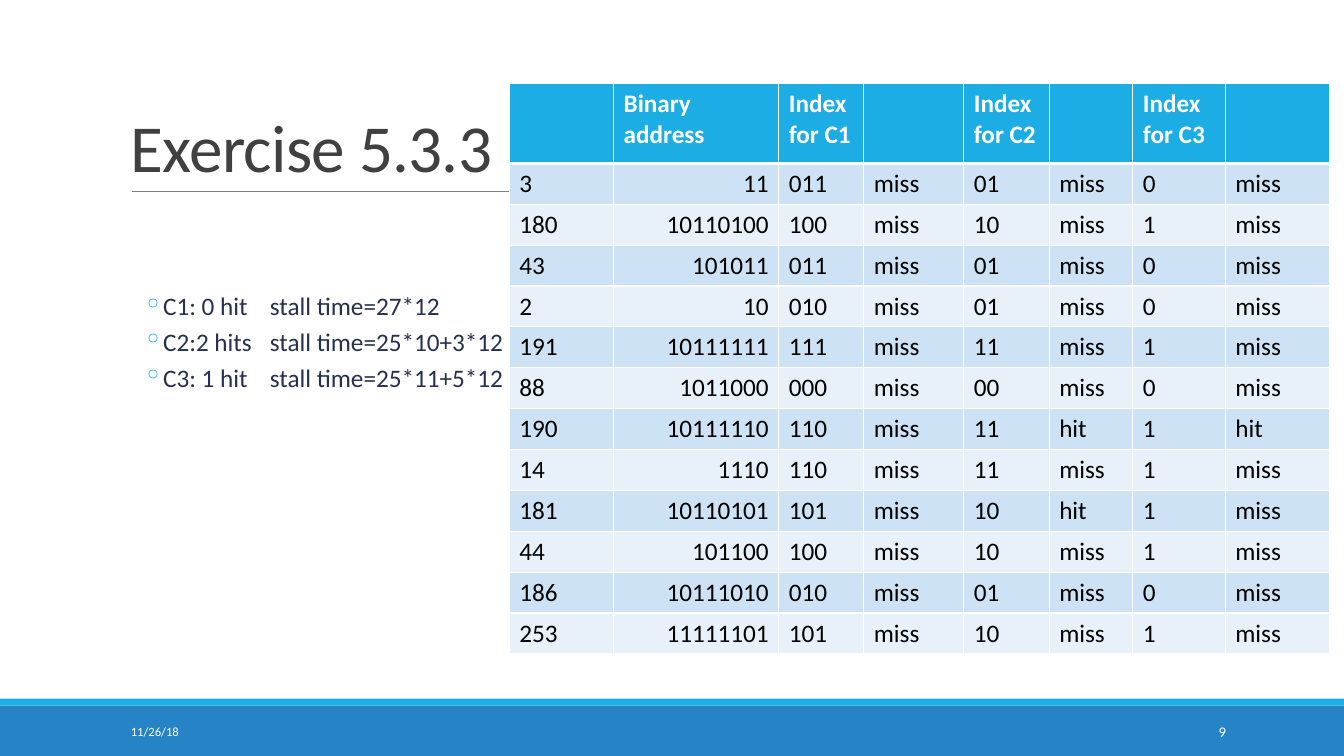
from lxml.etree import SubElement
from pptx import Presentation
from pptx.dml.color import RGBColor
from pptx.enum.shapes import MSO_CONNECTOR, MSO_SHAPE
from pptx.enum.text import MSO_ANCHOR, PP_ALIGN
from pptx.oxml.ns import qn
from pptx.util import Pt

WHITE = RGBColor(0xFF, 0xFF, 0xFF)
BLACK = RGBColor(0x00, 0x00, 0x00)
CHARCOAL = RGBColor(0x40, 0x40, 0x40)
GRAY = RGBColor(0x80, 0x80, 0x80)
NAVY = RGBColor(0x27, 0x30, 0x4E)
BLUE = RGBColor(0x26, 0x83, 0xC6)
CYAN = RGBColor(0x1C, 0xAD, 0xE4)
BAND_DARK = RGBColor(0xCD, 0xE3, 0xF5)
BAND_LIGHT = RGBColor(0xE8, 0xF1, 0xFA)

HEADERS = ["", "Binary address", "Index for C1", "", "Index for C2", "", "Index for C3", ""]
ACCESSES = [
    "3 11 011 miss 01 miss 0 miss",
    "180 10110100 100 miss 10 miss 1 miss",
    "43 101011 011 miss 01 miss 0 miss",
    "2 10 010 miss 01 miss 0 miss",
    "191 10111111 111 miss 11 miss 1 miss",
    "88 1011000 000 miss 00 miss 0 miss",
    "190 10111110 110 miss 11 hit 1 hit",
    "14 1110 110 miss 11 miss 1 miss",
    "181 10110101 101 miss 10 hit 1 miss",
    "44 101100 100 miss 10 miss 1 miss",
    "186 10111010 010 miss 01 miss 0 miss",
    "253 11111101 101 miss 10 miss 1 miss",
]
COLUMN_WIDTHS = [74.5, 118, 60.7, 71.5, 61, 59.8, 66, 74.2]
HEADER_HEIGHT = 56.9
ROW_HEIGHT = 29.2
STALL_TIMES = [
    "C1: 0 hit\tstall time=27*12",
    "C2:2 hits\tstall time=25*10+3*12",
    "C3: 1 hit\tstall time=25*11+5*12",
]


class CacheSlide:
    font = "Calibri"
    body_size = 18

    def __init__(self, slide):
        self.slide = slide

    def add_text(self, paragraph, text, size, color, bold=False):
        run = paragraph.add_run()
        run.text = text
        run.font.name = self.font
        run.font.size = Pt(size)
        run.font.color.rgb = color
        run.font.bold = bold
        return run

    def bar(self, top, height, color):
        bar = self.slide.shapes.add_shape(MSO_SHAPE.RECTANGLE, 0, Pt(top), Pt(960), Pt(height))
        bar.shadow.inherit = False
        bar.fill.solid()
        bar.fill.fore_color.rgb = color
        bar.line.fill.background()

    def rule(self, left, right, y):
        rule = self.slide.shapes.add_connector(
            MSO_CONNECTOR.STRAIGHT, Pt(left), Pt(y), Pt(right), Pt(y))
        rule.line.color.rgb = GRAY
        rule.line.width = Pt(0.5)
        SubElement(rule._element.spPr, qn("a:effectLst"))

    def frame(self, left, top, width, height, anchor):
        box = self.slide.shapes.add_textbox(Pt(left), Pt(top), Pt(width), Pt(height))
        frame = box.text_frame
        frame.word_wrap = True
        frame.vertical_anchor = anchor
        return frame

    def title(self, text):
        heading = self.frame(86.4, 22.3, 792, 114.5, MSO_ANCHOR.BOTTOM).paragraphs[0]
        heading.line_spacing = 0.85
        run = self.add_text(heading, text, 48, CHARCOAL)
        run.font._element.set("spc", "-50")

    def footer(self, text, left, width, size, align):
        note = self.frame(left, 508.3, width, 28.8, MSO_ANCHOR.MIDDLE).paragraphs[0]
        note.alignment = align
        self.add_text(note, text, size, WHITE)

    def bullets(self, items):
        frame = self.frame(86.4, 180, 343.4, 128.9, MSO_ANCHOR.TOP)
        frame.margin_left, frame.margin_right = Pt(15.8), 0
        frame.margin_top = Pt(30)
        for index, item in enumerate(items):
            bullet = frame.add_paragraph() if index else frame.paragraphs[0]
            bullet.line_spacing = 0.9
            bullet.space_before, bullet.space_after = Pt(2), Pt(4)
            props = bullet._p.get_or_add_pPr()
            props.set("marL", str(Pt(14.4)))
            props.set("indent", str(Pt(-14.4)))
            color = SubElement(props, qn("a:buClr"))
            SubElement(color, qn("a:srgbClr"), val=str(CYAN))
            SubElement(props, qn("a:buChar"), char="◦")
            stops = SubElement(props, qn("a:tabLst"))
            SubElement(stops, qn("a:tab"), pos=str(Pt(90.6)), algn="l")
            for part in item.partition("\t"):
                self.add_text(bullet, part, self.body_size, NAVY)

    def cell(self, cell, text, fill, color, bold, align, bottom):
        props = cell._tc.get_or_add_tcPr()
        for side, width in (("L", 1), ("R", 1), ("T", 1), ("B", bottom)):
            border = SubElement(props, qn(f"a:ln{side}"), w=str(Pt(width)))
            paint = SubElement(border, qn("a:solidFill"))
            SubElement(paint, qn("a:srgbClr"), val=str(WHITE))
        cell.fill.solid()
        cell.fill.fore_color.rgb = fill
        entry = cell.text_frame.paragraphs[0]
        entry.alignment = align
        if text:
            self.add_text(entry, text, self.body_size, color, bold)

    def table(self, left, top, headers, rows):
        height = HEADER_HEIGHT + ROW_HEIGHT * len(rows)
        table = self.slide.shapes.add_table(
            len(rows) + 1, len(headers), Pt(left), Pt(top),
            Pt(sum(COLUMN_WIDTHS)), Pt(height)).table
        table.horz_banding = False
        for column, width in zip(table.columns, COLUMN_WIDTHS):
            column.width = Pt(width)
        for r, texts in enumerate([headers] + rows):
            header = r == 0
            table.rows[r].height = Pt(HEADER_HEIGHT if header else ROW_HEIGHT)
            fill = CYAN if header else (BAND_LIGHT, BAND_DARK)[r % 2]
            for c, text in enumerate(texts):
                align = PP_ALIGN.RIGHT if c == 1 and not header else PP_ALIGN.LEFT
                self.cell(table.cell(r, c), text, fill, WHITE if header else BLACK,
                          header, align, 3 if header else 1)


def main():
    deck = Presentation()
    deck.slide_width, deck.slide_height = Pt(960), Pt(540)
    exercise = CacheSlide(deck.slides.add_slide(deck.slide_layouts[6]))
    exercise.bar(504, 36, BLUE)
    exercise.bar(499, 5, CYAN)
    exercise.rule(94.3, 879, 136.8)
    exercise.title("Exercise 5.3.3")
    exercise.footer("11/26/18", 86.4, 194.4, 9, PP_ALIGN.LEFT)
    exercise.footer("9", 779.8, 103, 10.5, PP_ALIGN.RIGHT)
    exercise.table(363.8, 59.8, HEADERS, [access.split() for access in ACCESSES])
    exercise.bullets(STALL_TIMES)
    deck.save("out.pptx")


if __name__ == "__main__":
    main()
